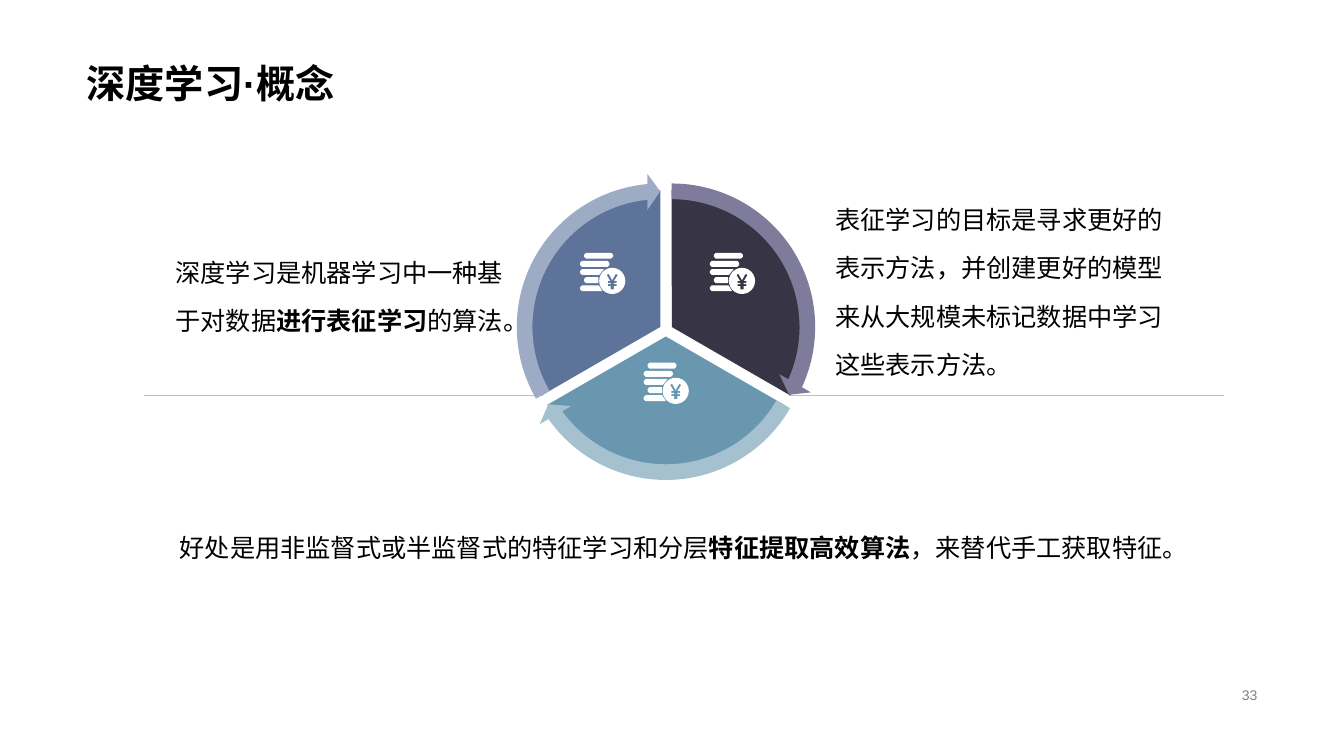
import math
from dataclasses import dataclass

import pptx
import pptx.dml.color
import pptx.enum.shapes
import pptx.enum.text
import pptx.oxml
import pptx.oxml.ns
import pptx.util

Cm = pptx.util.Cm
RGB = pptx.dml.color.RGBColor
MSO = pptx.enum.shapes.MSO_SHAPE
ALIGN = pptx.enum.text.PP_ALIGN
ANCHOR = pptx.enum.text.MSO_ANCHOR
Points = list[tuple[float, float]]

BLACK = RGB(0x00, 0x00, 0x00)
WHITE = RGB(0xFF, 0xFF, 0xFF)
GRAY = RGB(0x80, 0x80, 0x80)
RULE_GRAY = RGB(0xBF, 0xBF, 0xBF)
PLUM = RGB(0x37, 0x35, 0x45)
PLUM_LIGHT = RGB(0x7F, 0x7B, 0x9A)
TEAL = RGB(0x69, 0x97, 0xAF)
TEAL_LIGHT = RGB(0xA5, 0xC1, 0xCF)
BLUE = RGB(0x5D, 0x73, 0x9A)
BLUE_LIGHT = RGB(0x9D, 0xAB, 0xC4)

FONT = "Arial"
WEDGE_SIZE = 6.9
ARROW_SIZE = 7.75
DEGREE = 0.6
HEAD_ANGLE = 3.275
BAR_HEIGHT = 0.15
BAR_PITCH = 0.205
BAR_CORNER = 0.05
COIN_X, COIN_Y, COIN_RADIUS, COIN_STEPS = 0.81, 0.71, 0.33, 24
YEN_HALF = [(0, 0.69), (0.09, 0.53), (0.14, 0.56), (0.05, 0.71),
            (0.11, 0.71), (0.11, 0.76), (0.04, 0.76), (0.04, 0.79),
            (0.11, 0.79), (0.11, 0.84), (0.04, 0.84), (0.04, 0.92)]


@dataclass(frozen=True)
class Bar:
    left: float
    right_top: float
    right_bottom: float
    right_corner: float = 0


@dataclass(frozen=True)
class Sector:
    cx: float
    cy: float
    start: int
    end: int
    fill: RGB
    arrow: RGB
    icon_left: float
    icon_top: float


@dataclass(frozen=True)
class Note:
    box: tuple[float, float, float, float]
    runs: list[tuple[str, bool]]
    align: ALIGN = ALIGN.LEFT


BARS = [
    Bar(0.1, 0.83, 0.83, BAR_CORNER),
    Bar(0, 0.74, 0.74, BAR_CORNER),
    Bar(0, 0.6, 0.48),
    Bar(0.1, 0.46, 0.46),
    Bar(0, 0.47, 0.56),
]
SECTORS = [
    Sector(16.93, 8.24, 270, 30, PLUM, PLUM_LIGHT, 17.89, 6.37),
    Sector(16.78, 8.48, 30, 150, TEAL, TEAL_LIGHT, 16.22, 9.14),
    Sector(16.64, 8.24, 150, 270, BLUE, BLUE_LIGHT, 14.62, 6.37),
]
NOTES = [
    Note((3.63, 5.9, 9.3, 2.46),
         [("深度学习是机器学习中一种基于对数据", False),
          ("进行表征学习", True), ("的算法。", False)], ALIGN.RIGHT),
    Note((4.28, 12.83, 25.3, 1.27),
         [("好处是用非监督式或半监督式的特征学习和分层", False),
          ("特征提取高效算法", True), ("，来替代手工获取特征。", False)]),
    Note((20.8, 4.57, 9.3, 2.26),
         [("表征学习的目标是寻求更好的表示方法，并创建更好的模型"
           "来从大规模未标记数据中学习这些表示方法。", False)]),
]


def write(sp, runs: list[tuple[str, bool]], *, size: float, color: RGB = BLACK,
          align: ALIGN = ALIGN.LEFT, spacing: float = 1.0,
          anchor: ANCHOR = ANCHOR.TOP) -> None:
    tf = sp.text_frame
    tf.word_wrap = True
    tf.auto_size = pptx.enum.text.MSO_AUTO_SIZE.NONE
    tf.vertical_anchor = anchor
    p = tf.paragraphs[0]
    p.alignment = align
    p.line_spacing = spacing
    for text, bold in runs:
        r = p.add_run()
        r.text = text
        r.font.name = FONT
        r.font.size = pptx.util.Pt(size)
        r.font.bold = bold
        r.font.color.rgb = color


def paint(sp, color: RGB) -> None:
    sp.shadow.inherit = False
    sp.fill.solid()
    sp.fill.fore_color.rgb = color
    sp.line.fill.background()


def add_centred(shapes, kind: MSO, s: Sector, size: float, color: RGB,
                adjustments: tuple) -> None:
    sp = shapes.add_shape(kind, Cm(s.cx - size / 2), Cm(s.cy - size / 2),
                          Cm(size), Cm(size))
    paint(sp, color)
    for i, value in enumerate(adjustments):
        sp.adjustments[i] = value


def bar_outline(row: int, bar: Bar) -> Points:
    top, c, k = row * BAR_PITCH, BAR_CORNER, bar.right_corner
    bottom = top + BAR_HEIGHT
    return [(bar.left + c, top), (bar.right_top - k, top),
            (bar.right_top, top + k), (bar.right_bottom, bottom - k),
            (bar.right_bottom - k, bottom), (bar.left + c, bottom),
            (bar.left, bottom - c), (bar.left, top + c)]


def coin_outline() -> Points:
    angles = [math.tau * i / COIN_STEPS for i in range(COIN_STEPS)]
    return [(COIN_X + COIN_RADIUS * math.cos(a), COIN_Y + COIN_RADIUS * math.sin(a))
            for a in angles]


def yen_outline() -> Points:
    mirrored = [(-x, y) for x, y in reversed(YEN_HALF[1:])]
    return [(COIN_X + x, y) for x, y in mirrored + YEN_HALF]


def add_coin_icon(shapes, s: Sector) -> None:
    outlines = [bar_outline(row, bar) for row, bar in enumerate(BARS)]
    outlines += [coin_outline(), yen_outline()]
    contours = [[(Cm(s.icon_left + x), Cm(s.icon_top + y)) for x, y in outline]
                for outline in outlines]
    builder = shapes.build_freeform(*contours[0][0])
    for i, points in enumerate(contours):
        if i:
            builder.move_to(*points[0])
        builder.add_line_segments(points[1:], close=True)
    paint(builder.convert_to_shape(), WHITE)


def add_rule(shapes, x1: float, x2: float, y: float) -> None:
    line = shapes.add_connector(pptx.enum.shapes.MSO_CONNECTOR.STRAIGHT,
                                Cm(x1), Cm(y), Cm(x2), Cm(y))
    line.line.color.rgb = RULE_GRAY
    line.line.width = pptx.util.Pt(0.25)
    line._element.spPr.append(
        pptx.oxml.parse_xml(f'<a:effectLst {pptx.oxml.ns.nsdecls("a")}/>'))


def main() -> None:
    prs = pptx.Presentation()
    prs.slide_width, prs.slide_height = Cm(33.87), Cm(19.05)
    slide = prs.slides.add_slide(prs.slide_layouts[5])
    shapes = slide.shapes

    title = shapes.title
    title.left, title.top, title.width, title.height = map(Cm, (1.93, 0.2, 30, 2.62))
    write(title, [("深度学习·概念", True)], size=28, spacing=0.9,
          anchor=ANCHOR.BOTTOM)
    number = shapes.add_textbox(*map(Cm, (23.91, 17.22, 8.03, 0.58)))
    write(number, [("33", False)], size=10, color=GRAY, align=ALIGN.RIGHT,
          anchor=ANCHOR.MIDDLE)

    add_rule(shapes, 19.89, 30.84, 9.96)
    add_rule(shapes, 13.69, 3.63, 9.96)
    for s in SECTORS:
        add_centred(shapes, MSO.PIE, s, WEDGE_SIZE, s.fill,
                    (s.start * DEGREE, s.end * DEGREE))
    for s in SECTORS:
        add_centred(shapes, MSO.CIRCULAR_ARROW, s, ARROW_SIZE, s.arrow,
                    (0.051, HEAD_ANGLE, s.end * DEGREE - HEAD_ANGLE,
                     s.start * DEGREE, 0.059))
    for s in SECTORS:
        add_coin_icon(shapes, s)
    for note in NOTES:
        write(shapes.add_textbox(*map(Cm, note.box)), note.runs, size=18,
              align=note.align, spacing=1.6)

    prs.save("out.pptx")


if __name__ == "__main__":
    main()
